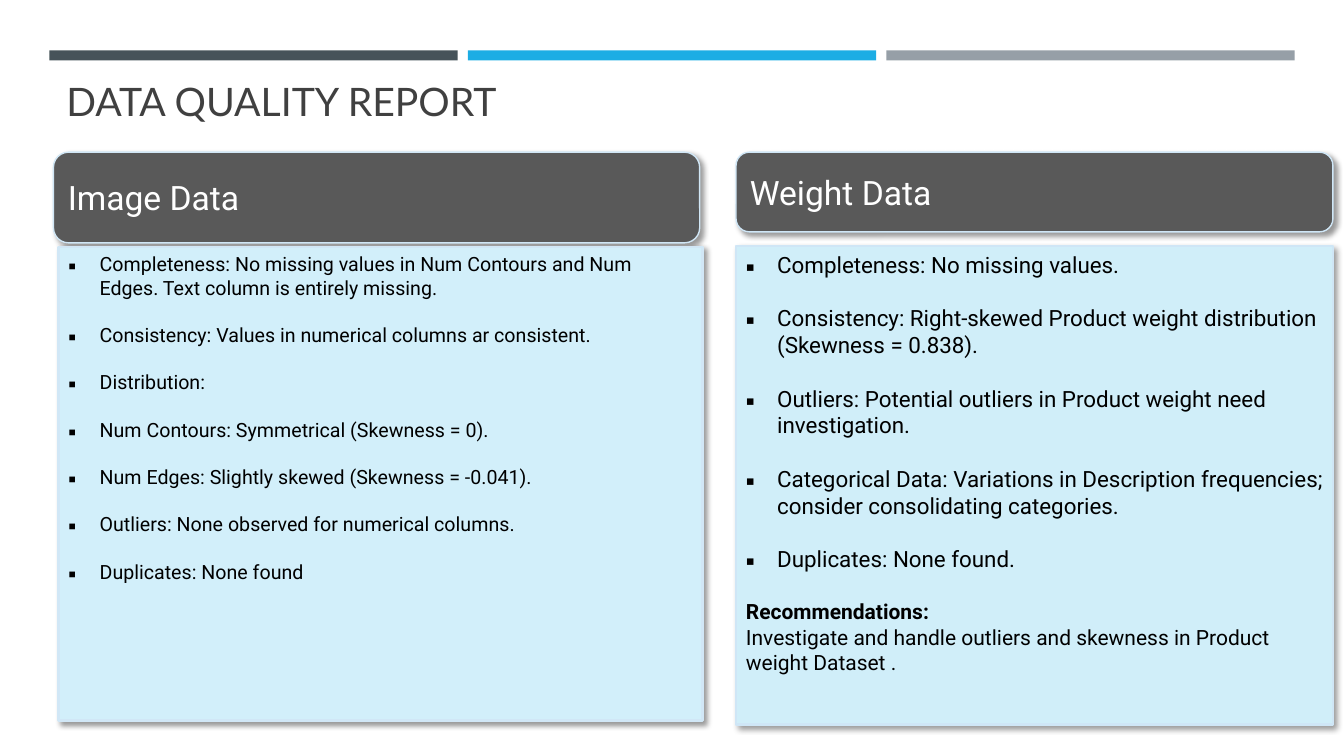
from lxml.etree import SubElement
from pptx import Presentation
from pptx.dml.color import RGBColor
from pptx.enum.shapes import MSO_SHAPE
from pptx.enum.text import MSO_ANCHOR, PP_ALIGN
from pptx.oxml.ns import qn
from pptx.util import Inches, Pt

IMAGE_FINDINGS = [
    "Completeness: No missing values in Num Contours and Num Edges. Text column is entirely missing.",
    "Consistency: Values in numerical columns ar consistent.",
    "Distribution:",
    "Num Contours: Symmetrical (Skewness = 0).",
    "Num Edges: Slightly skewed (Skewness = -0.041).",
    "Outliers: None observed for numerical columns.",
    "Duplicates: None found",
]
WEIGHT_FINDINGS = [
    "Completeness: No missing values.",
    "Consistency: Right-skewed Product weight distribution (Skewness = 0.838).",
    "Outliers: Potential outliers in Product weight need investigation.",
    "Categorical Data: Variations in Description frequencies; consider consolidating categories.",
    "Duplicates: None found.",
]
ADVICE = "Investigate and handle outliers and skewness in Product weight Dataset ."


def color(hex_code):
    return RGBColor.from_string(hex_code)


def add_box(slide, kind, place, fill, line=None, line_width=1):
    box = slide.shapes.add_shape(kind, *map(Inches, place))
    box.shadow.inherit = False
    box.fill.solid()
    box.fill.fore_color.rgb = color(fill)
    if line:
        box.line.color.rgb = color(line)
        box.line.width = Pt(line_width)
    else:
        box.line.fill.background()
    return box


def add_shadow(box):
    effects = box._element.spPr.find(qn("a:effectLst"))
    shadow = SubElement(effects, qn("a:outerShdw"), blurRad=str(Pt(4)), dist=str(Pt(3)),
                        dir=str(45 * 60000), algn="tl", rotWithShape="0")
    black = SubElement(shadow, qn("a:srgbClr"), val="000000")
    SubElement(black, qn("a:alpha"), val="40000")


def add_run(paragraph, text, size, hex_code="000000", font="Roboto", bold=False):
    paragraph.alignment = PP_ALIGN.LEFT
    run = paragraph.add_run()
    run.text = text
    run.font.name = font
    run.font.size = Pt(size)
    run.font.bold = bold
    run.font.color.rgb = color(hex_code)


def set_bullet(paragraph):
    props = paragraph._p.get_or_add_pPr()
    props.set("marL", str(Inches(0.31)))
    props.set("indent", str(Inches(-0.31)))
    bullet_color = SubElement(props, qn("a:buClr"))
    SubElement(bullet_color, qn("a:srgbClr"), val="000000")
    SubElement(props, qn("a:buFont"), typeface="Noto Sans Symbols")
    SubElement(props, qn("a:buChar"), char="▪")


def add_title(slide, text):
    title = slide.shapes.add_textbox(*map(Inches, (0.56, 0.72, 12.49, 0.93)))
    title.text_frame.word_wrap = True
    add_run(title.text_frame.paragraphs[0], text, 28, "404040", "Lato")


def add_header(slide, text, place, line):
    header = add_box(slide, MSO_SHAPE.ROUNDED_RECTANGLE, place, "595959", line)
    add_shadow(header)
    header.text_frame.vertical_anchor = MSO_ANCHOR.MIDDLE
    add_run(header.text_frame.paragraphs[0], text, 24, "FFFFFF")


def add_findings(slide, findings, place, fill, line, size, gap):
    panel = add_box(slide, MSO_SHAPE.RECTANGLE, place, fill, line, 1.75)
    add_shadow(panel)
    frame = panel.text_frame
    frame.vertical_anchor = MSO_ANCHOR.TOP
    for index, finding in enumerate(findings):
        paragraph = frame.add_paragraph() if index else frame.paragraphs[0]
        add_run(paragraph, finding, size)
        paragraph.space_after = Pt(gap)
        set_bullet(paragraph)
    return frame


def main():
    prs = Presentation()
    prs.slide_width, prs.slide_height = Inches(13.33), Inches(7.5)
    slide = prs.slides.add_slide(prs.slide_layouts[6])

    # Top bars
    for column, fill in enumerate(("465359", "1CADE4", "969FA7")):
        add_box(slide, MSO_SHAPE.RECTANGLE, (0.49 + 4.15 * column, 0.5, 4.05, 0.1), fill)

    add_title(slide, "DATA QUALITY REPORT")

    # Image data
    add_header(slide, "Image Data", (0.53, 1.51, 6.41, 0.9), "D1E7F6")
    add_findings(slide, IMAGE_FINDINGS, (0.58, 2.45, 6.39, 4.7), "D2EFFA", "D1E7F6", 14, 17)

    # Weight data, with recommendations below its findings
    add_header(slide, "Weight Data", (7.3, 1.51, 5.92, 0.79), "CFE6F6")
    weight = add_findings(slide, WEIGHT_FINDINGS, (7.3, 2.44, 5.92, 4.75), "D0EEF9", "CFE6F6", 16, 19)
    add_run(weight.add_paragraph(), "Recommendations:", 15, bold=True)
    add_run(weight.add_paragraph(), ADVICE, 15)

    prs.save("out.pptx")


if __name__ == "__main__":
    main()
